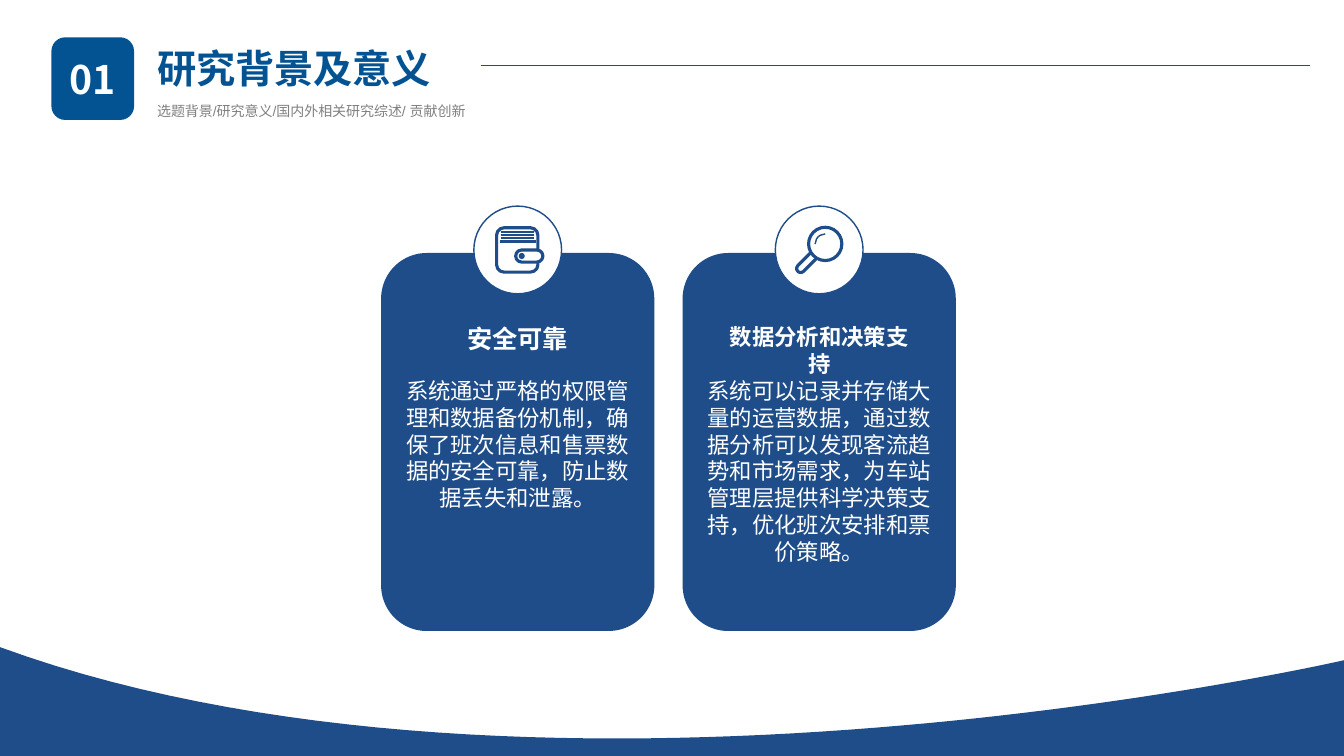
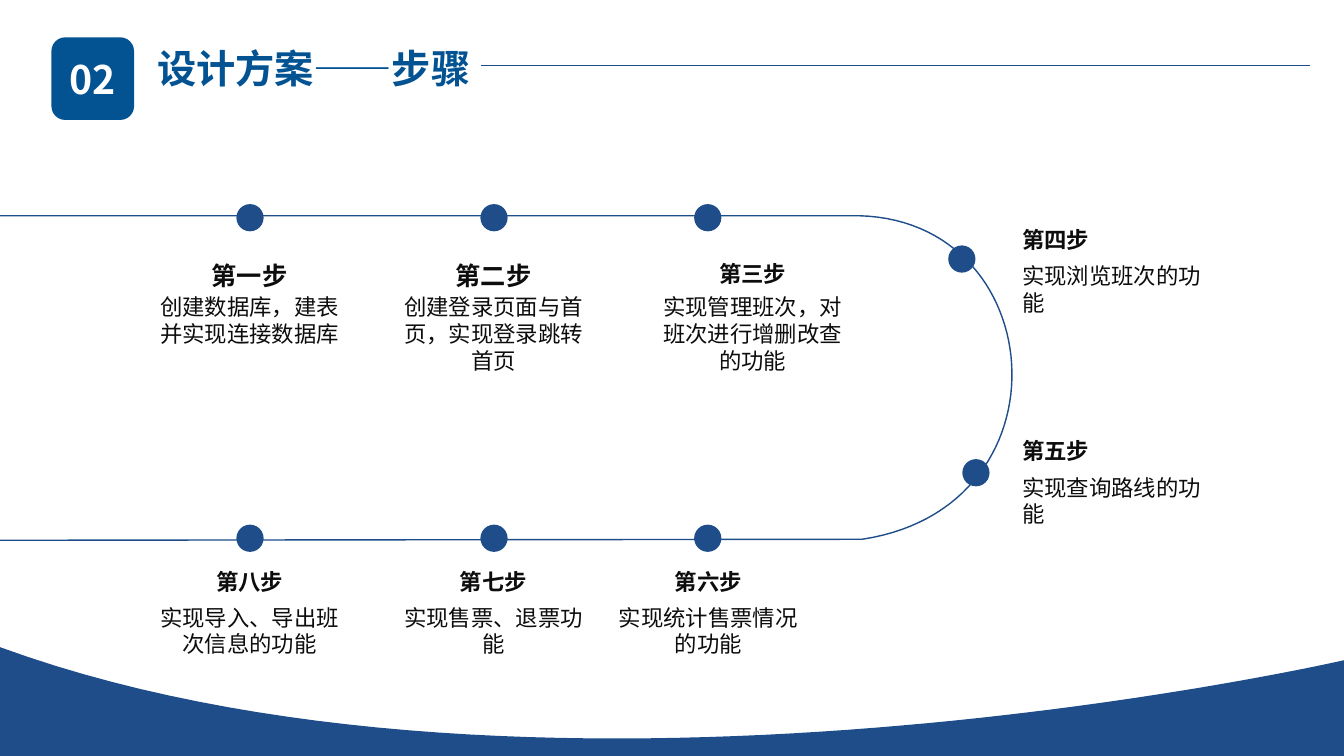
from lxml import etree
from pptx import Presentation
from pptx.dml.color import RGBColor
from pptx.enum.shapes import MSO_CONNECTOR, MSO_SHAPE
from pptx.enum.text import MSO_ANCHOR, PP_ALIGN
from pptx.oxml.ns import qn
from pptx.util import Inches, Pt

NAVY = RGBColor(0x1E, 0x4D, 0x8A)
TITLE_BLUE = RGBColor(0x03, 0x53, 0x92)
WHITE = RGBColor(0xFF, 0xFF, 0xFF)
GRAY = RGBColor(0x80, 0x80, 0x80)
INK = RGBColor(0x0D, 0x0D, 0x0D)
CJK_FONT = "Noto Sans CJK SC"
LATIN_FONT = "Arial"

ROUNDED = MSO_SHAPE.ROUNDED_RECTANGLE
OVAL = MSO_SHAPE.OVAL
ARC = MSO_SHAPE.ARC
STRAIGHT = MSO_CONNECTOR.STRAIGHT
LEFT = PP_ALIGN.LEFT
CENTER = PP_ALIGN.CENTER
MIDDLE = MSO_ANCHOR.MIDDLE

WIDTH, HEIGHT = 13.33, 7.5
CURVE_STEPS = 60


def bezier(start, first, second, end):
    points = []
    for step in range(CURVE_STEPS + 1):
        t = step / CURVE_STEPS
        weights = ((1 - t) ** 3, 3 * t * (1 - t) ** 2, 3 * t * t * (1 - t), t ** 3)
        corners = (start, first, second, end)
        points.append(tuple(
            sum(weight * corner[axis] for weight, corner in zip(weights, corners))
            for axis in (0, 1)))
    return points


class SlideBuilder:
    def __init__(self):
        self.deck = Presentation()
        self.deck.slide_width = Inches(WIDTH)
        self.deck.slide_height = Inches(HEIGHT)
        self.page = None

    def start_page(self, number, title, subtitle=None):
        self.page = self.deck.slides.add_slide(self.deck.slide_layouts[6])
        wave = bezier((WIDTH, 6.55), (WIDTH, 6.55), (5.36, 8.38), (0, 6.42))
        self.outline([(WIDTH, HEIGHT), *wave, (0, HEIGHT)], fill=NAVY, closed=True)
        self.text(title, 1.46, 0.39, 3.57, 0.57, 28, TITLE_BLUE, bold=True, align=LEFT)
        if subtitle:
            self.text(subtitle, 1.46, 0.8, 3.63, 0.39, 10, GRAY, align=LEFT,
                      font=LATIN_FONT, spacing=2.0)
        badge = self.shape(ROUNDED, 0.51, 0.37, 0.82, 0.82, fill=TITLE_BLUE)
        badge.text_frame.vertical_anchor = MIDDLE
        self.set_text(badge.text_frame, number, 28, WHITE, bold=True)
        self.line(4.77, 0.65, 12.99, 0.65, 0.5)

    def paint(self, shape, fill, line, weight):
        shape.shadow.inherit = False
        if fill is None:
            shape.fill.background()
        else:
            shape.fill.solid()
            shape.fill.fore_color.rgb = fill
        if line is None:
            shape.line.fill.background()
        else:
            shape.line.color.rgb = line
            shape.line.width = Pt(weight)
        return shape

    def shape(self, kind, left, top, width, height, fill=None, line=None, weight=1):
        shape = self.page.shapes.add_shape(
            kind, Inches(left), Inches(top), Inches(width), Inches(height))
        return self.paint(shape, fill, line, weight)

    def circle(self, x, y, diameter, fill=None, line=None, weight=1):
        return self.shape(OVAL, x - diameter / 2, y - diameter / 2,
                          diameter, diameter, fill, line, weight)

    def outline(self, points, fill=None, line=None, weight=1, closed=False):
        corners = [(Inches(x), Inches(y)) for x, y in points]
        builder = self.page.shapes.build_freeform(*corners[0])
        builder.add_line_segments(corners[1:], close=closed)
        return self.paint(builder.convert_to_shape(), fill, line, weight)

    def line(self, x1, y1, x2, y2, weight):
        line = self.page.shapes.add_connector(
            STRAIGHT, Inches(x1), Inches(y1), Inches(x2), Inches(y2))
        line.line.color.rgb = NAVY
        line.line.width = Pt(weight)
        etree.SubElement(line._element.spPr, qn("a:effectLst"))

    def set_text(self, frame, words, size, color, bold=False, align=CENTER,
                 font=CJK_FONT, spacing=None):
        frame.text = words
        para = frame.paragraphs[0]
        para.alignment = align
        if spacing:
            para.line_spacing = spacing
        span = para.runs[0]
        span.font.size = Pt(size)
        span.font.bold = bold
        span.font.color.rgb = color
        span.font.name = font
        east_asian = etree.SubElement(span.font._element, qn("a:ea"))
        east_asian.set("typeface", CJK_FONT)

    def text(self, words, left, top, width, height, size, color, wrap=True, **style):
        box = self.page.shapes.add_textbox(
            Inches(left), Inches(top), Inches(width), Inches(height))
        box.text_frame.word_wrap = wrap
        self.set_text(box.text_frame, words, size, color, **style)

    def wallet(self, x, y):
        body = self.shape(ROUNDED, x - 0.21, y - 0.22, 0.41, 0.44, line=NAVY, weight=2.25)
        body.adjustments[0] = 0.18
        for offset in (-0.18, -0.15, -0.12):
            self.line(x - 0.17, y + offset, x + 0.16, y + offset, 1)
        self.line(x - 0.18, y - 0.08, x + 0.18, y - 0.08, 2.25)
        clasp = self.shape(ROUNDED, x - 0.02, y, 0.27, 0.12, WHITE, NAVY, 2.25)
        clasp.adjustments[0] = 0.5
        self.circle(x + 0.04, y + 0.06, 0.06, fill=NAVY)

    def magnifier(self, x, y):
        handle = self.shape(ROUNDED, x - 0.25, y + 0.08, 0.26, 0.08, line=NAVY, weight=2.25)
        handle.adjustments[0] = 0.5
        handle.rotation = 315
        self.circle(x + 0.06, y - 0.06, 0.33, WHITE, NAVY, 2.25)
        glint = self.shape(ARC, x - 0.04, y - 0.16, 0.2, 0.2, line=NAVY, weight=1)
        glint.rotation = 270

    def card(self, left, title, size, body, icon):
        width = 2.71
        middle = left + width / 2
        self.shape(ROUNDED, left, 2.51, width, 3.75, fill=NAVY)
        self.circle(middle, 2.48, 0.87, WHITE, NAVY)
        icon(middle, 2.48)
        self.text(title, middle - 1, 3.16, 2, 0.6, size, WHITE, wrap=False, bold=True)
        self.text(body, middle - 1.29, 3.69, 2.58, 1.98, 16, WHITE)

    def step(self, dot, left, title_top, body_top, title, size, body, align=CENTER):
        width = 2.17
        self.circle(*dot, 0.27, fill=NAVY)
        self.text(title, left, title_top, width, 0.4, size, INK, bold=True, align=align)
        self.text(body, left, body_top, width, 0.91, 16, INK, align=align)


def background_page(slides):
    slides.start_page("01", "研究背景及意义", "选题背景/研究意义/国内外相关研究综述/ 贡献创新")
    cards = [
        ("安全可靠", 18,
         "系统通过严格的权限管理和数据备份机制，确保了班次信息和售票数据的安全可靠，防止数据丢失和泄露。",
         slides.wallet),
        ("数据分析和决策支持", 16,
         "系统可以记录并存储大量的运营数据，通过数据分析可以发现客流趋势和市场需求，"
         "为车站管理层提供科学决策支持，优化班次安排和票价策略。",
         slides.magnifier),
    ]
    for index, card in enumerate(cards):
        slides.card(3.78 + 2.99 * index, *card)


def steps_page(slides):
    slides.start_page("02", "设计方案——步骤")
    bend = bezier((8.42, 2.14), (10.42, 2.09), (10.68, 5.03), (8.55, 5.35))
    slides.outline([(0, 2.14), *bend, (0, 5.36)], line=NAVY)
    columns = (2.48, 4.9, 7.02)
    top_row = [
        (1.39, "第一步", 18, "创建数据库，建表并实现连接数据库"),
        (3.81, "第二步", 18, "创建登录页面与首页，实现登录跳转首页"),
        (6.38, "第三步", 16, "实现管理班次，对班次进行增删改查的功能"),
    ]
    bottom_row = [
        (1.39, "第八步", 16, "实现导入、导出班次信息的功能"),
        (3.81, "第七步", 16, "实现售票、退票功能"),
        (5.94, "第六步", 16, "实现统计售票情况的功能"),
    ]
    rows = [(2.16, 2.53, 2.86, top_row), (5.34, 5.59, 5.94, bottom_row)]
    for dot_y, title_top, body_top, steps in rows:
        for x, (left, *words) in zip(columns, steps):
            slides.step((x, dot_y), left, title_top, body_top, *words)
    bend_steps = [
        ((9.54, 2.57), 2.19, "第四步", "实现浏览班次的功能"),
        ((9.68, 4.69), 4.29, "第五步", "实现查询路线的功能"),
    ]
    for dot, top, title, body in bend_steps:
        slides.step(dot, 10.04, top, top + 0.36, title, 16, body, LEFT)


def main():
    slides = SlideBuilder()
    background_page(slides)
    steps_page(slides)
    slides.deck.save("out.pptx")


if __name__ == "__main__":
    main()
